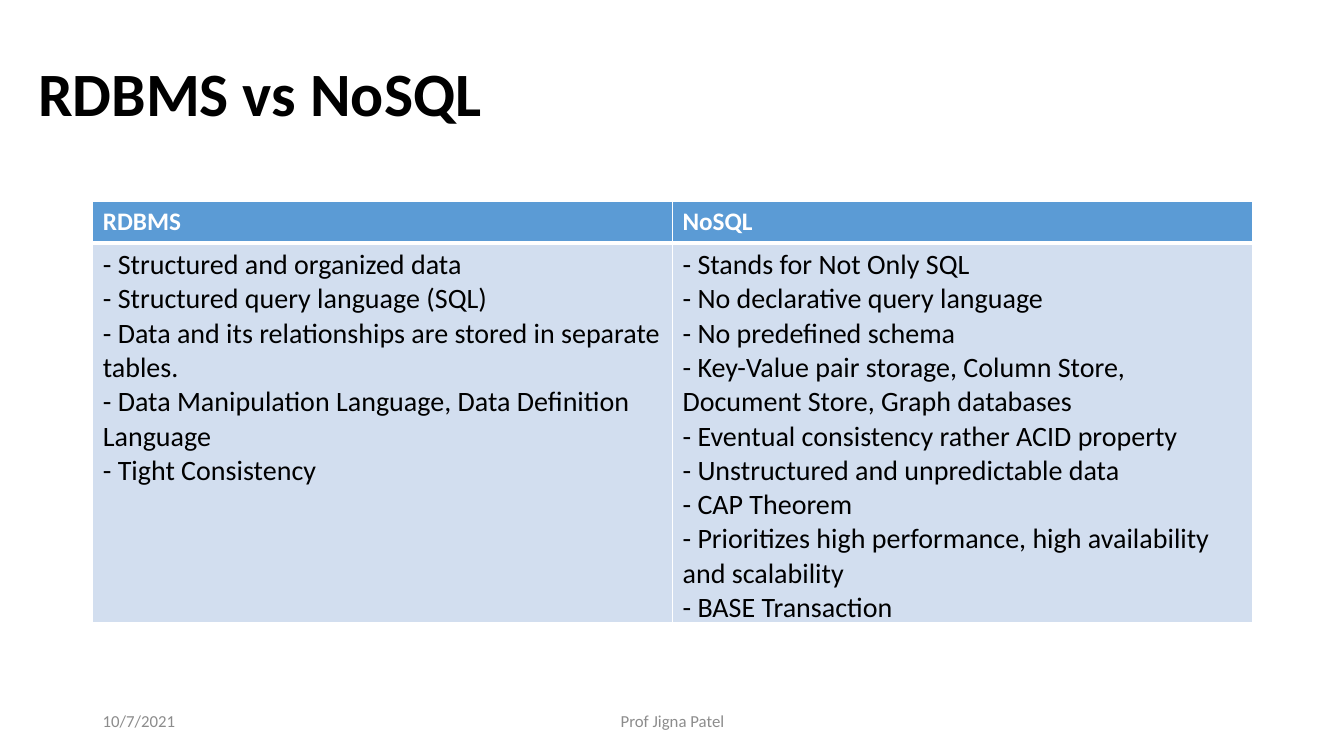
from lxml import etree
from pptx import Presentation
from pptx.dml.color import RGBColor
from pptx.enum import text
from pptx.oxml import ns
from pptx.util import Inches, Pt

COLORS = {
    "black": "000000",
    "white": "FFFFFF",
    "footer": "8C8C8C",
    "header": "5B9BD5",
    "body": "D2DEEF",
}

COMPARISON = {
    "RDBMS": [
        "- Structured and organized data",
        "- Structured query language (SQL)",
        "- Data and its relationships are stored in separate tables.",
        "- Data Manipulation Language, Data Definition Language",
        "- Tight Consistency",
    ],
    "NoSQL": [
        "- Stands for Not Only SQL",
        "- No declarative query language",
        "- No predefined schema",
        "- Key-Value pair storage, Column Store, Document Store, Graph databases",
        "- Eventual consistency rather ACID property",
        "- Unstructured and unpredictable data",
        "- CAP Theorem",
        "- Prioritizes high performance, high availability and scalability",
        "- BASE Transaction",
    ],
}


def write_lines(frame, lines, color, **font_format):
    """Fill a text frame with one paragraph whose lines are split by breaks."""
    paragraph = frame.paragraphs[0]
    paragraph.text = "\v".join(lines)
    for run in paragraph.runs:
        run.font.name = "Calibri"
        run.font.color.rgb = RGBColor.from_string(COLORS[color])
        for attribute, value in font_format.items():
            setattr(run.font, attribute, value)
    return paragraph


def add_borders(cell, widths):
    """Draw white cell borders; widths maps each side (L, R, T, B) to points."""
    properties = cell._tc.get_or_add_tcPr()
    for side, width in widths.items():
        line = etree.SubElement(properties, ns.qn(f"a:ln{side}"), w=str(Pt(width)))
        fill = etree.SubElement(line, ns.qn("a:solidFill"))
        etree.SubElement(fill, ns.qn("a:srgbClr"), val=COLORS["white"])


prs = Presentation()
prs.slide_width = Inches(13.33)
prs.slide_height = Inches(7.5)
slide = prs.slides.add_slide(prs.slide_layouts[6])

# Title and footer
left, center = text.PP_ALIGN.LEFT, text.PP_ALIGN.CENTER
captions = [
    ("RDBMS vs NoSQL", (0.28, 0.49, 11.5, 0.94), left, 0.9,
     {"color": "black", "size": Pt(44), "bold": True}),
    ("10/7/2021", (0.92, 6.95, 3, 0.4), left, 1,
     {"color": "footer", "size": Pt(12)}),
    ("Prof Jigna Patel", (4.42, 6.95, 4.5, 0.4), center, 1,
     {"color": "footer", "size": Pt(12)}),
]
for caption, box, alignment, spacing, font_format in captions:
    frame = slide.shapes.add_textbox(*map(Inches, box)).text_frame
    frame.word_wrap = True
    frame.vertical_anchor = text.MSO_ANCHOR.MIDDLE
    paragraph = write_lines(frame, [caption], **font_format)
    paragraph.alignment = alignment
    paragraph.line_spacing = spacing

# Comparison table
table = slide.shapes.add_table(
    2, len(COMPARISON), Inches(0.92), Inches(2), Inches(11.5), Inches(4.17)
).table
table.rows[0].height = Inches(0.41)
table.rows[1].height = Inches(3.76)

row_formats = [
    {"color": "white", "size": Pt(18), "bold": True},
    {"color": "black", "size": Pt(20), "bold": False},
]
row_fills = ["header", "body"]
row_borders = [
    {"L": 1, "R": 1, "T": 1, "B": 3},
    {"L": 1, "R": 1, "T": 3, "B": 1},
]
for column, (heading, points) in enumerate(COMPARISON.items()):
    for row, lines in enumerate([[heading], points]):
        cell = table.cell(row, column)
        write_lines(cell.text_frame, lines, **row_formats[row])
        add_borders(cell, row_borders[row])
        cell.fill.solid()
        cell.fill.fore_color.rgb = RGBColor.from_string(COLORS[row_fills[row]])

prs.save("out.pptx")
